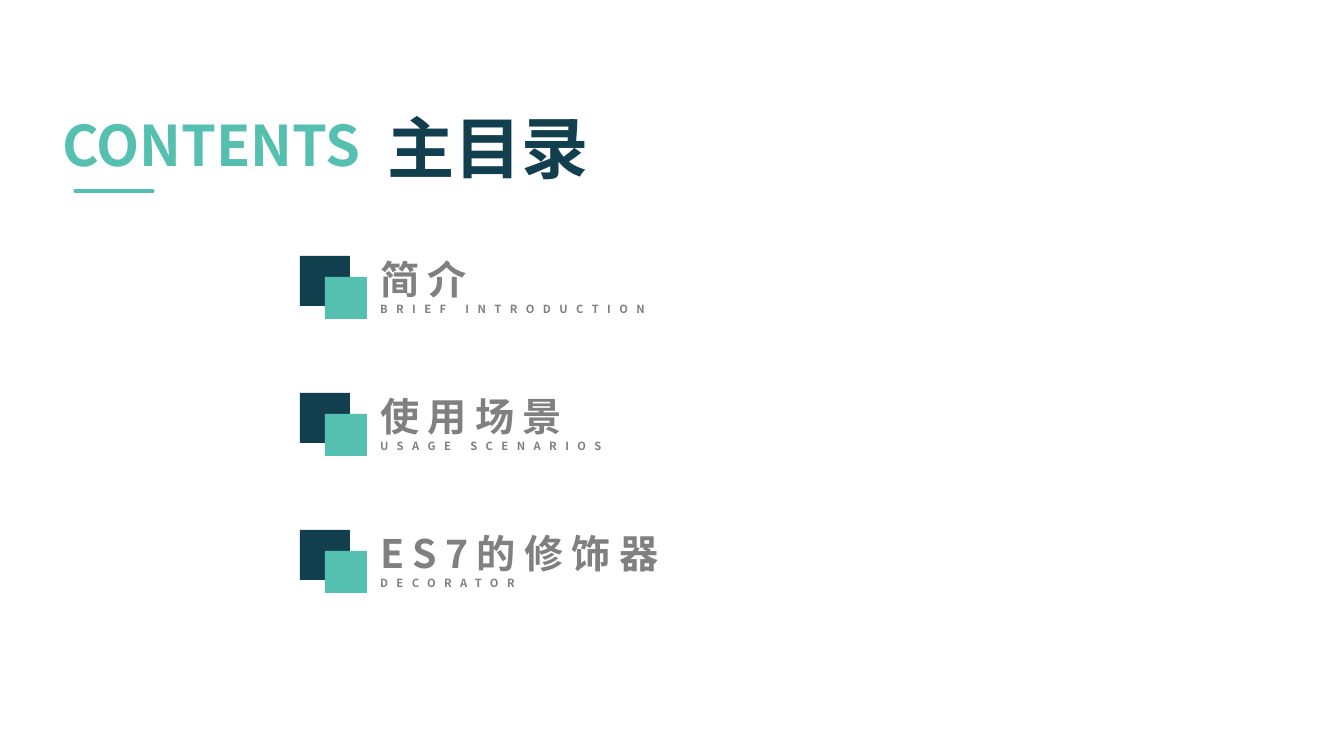
import pptx
import pptx.dml.color
import pptx.enum.shapes
import pptx.enum.text
import pptx.oxml.ns
import pptx.util
from dataclasses import dataclass
from lxml import etree

PIXEL = 914400 / 100.8
FONT = "Noto Sans CJK SC"
COLORS = {"navy": "113F4E", "teal": "55C0AF", "gray": "808080"}
ENTRY_TOP = 250
ENTRY_PITCH = 137


@dataclass
class Entry:
    heading: str
    subtitle: str
    width: int


@dataclass
class Square:
    left: int
    drop: int
    side: int
    color: str


ENTRIES = [
    Entry("简介", "BRIEF INTRODUCTION", 308),
    Entry("使用场景", "USAGE SCENARIOS", 257),
    Entry("ES7的修饰器", "DECORATOR", 308),
]
SQUARES = [Square(300, 6, 50, "navy"), Square(325, 27, 42, "teal")]


def px(length: int) -> pptx.util.Emu:
    return pptx.util.Emu(round(length * PIXEL))


def rgb(color: str) -> pptx.dml.color.RGBColor:
    return pptx.dml.color.RGBColor.from_string(COLORS[color])


def place(shape, left: int, top: int, width: int, height: int) -> None:
    shape.left, shape.top = px(left), px(top)
    shape.width, shape.height = px(width), px(height)


def prepare_frame(shape):
    frame = shape.text_frame
    frame.word_wrap = False
    frame.auto_size = pptx.enum.text.MSO_AUTO_SIZE.SHAPE_TO_FIT_TEXT
    frame.vertical_anchor = pptx.enum.text.MSO_ANCHOR.TOP
    return frame


def add_text(paragraph, text: str, size: int, color: str, tracking: int = 0,
             align=pptx.enum.text.PP_ALIGN.LEFT) -> None:
    paragraph.alignment = align
    paragraph.space_before = paragraph.space_after = pptx.util.Pt(0)
    paragraph.line_spacing = 1.0
    properties = paragraph._p.get_or_add_pPr()
    properties.set("marL", "0")
    properties.set("indent", "0")
    etree.SubElement(properties, pptx.oxml.ns.qn("a:buNone"))
    run = paragraph.add_run()
    run.text = text
    run.font.size = pptx.util.Pt(size)
    run.font.bold = True
    run.font.color.rgb = rgb(color)
    run.font.name = FONT
    run_properties = run._r.get_or_add_rPr()
    run_properties.set("spc", str(tracking * 100))
    east_asian = etree.SubElement(run_properties, pptx.oxml.ns.qn("a:ea"))
    east_asian.set("typeface", FONT)


def add_entry(slide, body, entry: Entry, top: int) -> None:
    place(body, 370, top, entry.width, 72)
    frame = prepare_frame(body)
    add_text(frame.paragraphs[0], entry.heading, 28, "gray", 6)
    add_text(frame.add_paragraph(), entry.subtitle, 8, "gray", 6)
    marker = slide.shapes.add_group_shape()
    for square in SQUARES:
        tile = marker.shapes.add_shape(
            pptx.enum.shapes.MSO_SHAPE.RECTANGLE, px(square.left),
            px(top + square.drop), px(square.side), px(square.side))
        tile.shadow.inherit = False
        tile.fill.solid()
        tile.fill.fore_color.rgb = rgb(square.color)
        tile.line.fill.background()


def add_underline(slide) -> None:
    underline = slide.shapes.add_connector(
        pptx.enum.shapes.MSO_CONNECTOR.STRAIGHT, px(75), px(191), px(153), px(191))
    underline.line.color.rgb = rgb("teal")
    underline.line.width = pptx.util.Pt(2.25)
    underline.line._get_or_add_ln().set("cap", "rnd")
    etree.SubElement(underline._element.spPr, pptx.oxml.ns.qn("a:effectLst"))


presentation = pptx.Presentation()
presentation.slide_width, presentation.slide_height = px(1344), px(756)
slide = presentation.slides.add_slide(
    presentation.slide_layouts.get_by_name("Comparison"))

title = slide.shapes.title
place(title, 377, 101, 224, 92)
add_text(prepare_frame(title).paragraphs[0], "主目录", 48, "navy")

contents = slide.shapes.add_textbox(px(43), px(106), px(337), px(78))
add_text(prepare_frame(contents).paragraphs[0], "CONTENTS", 40, "teal",
         align=pptx.enum.text.PP_ALIGN.CENTER)
add_underline(slide)

bodies = [holder for holder in slide.placeholders
          if holder.placeholder_format.idx != 0]
for row, (body, entry) in enumerate(zip(bodies, ENTRIES)):
    add_entry(slide, body, entry, ENTRY_TOP + row * ENTRY_PITCH)
for unused in bodies[len(ENTRIES):]:
    unused._element.getparent().remove(unused._element)

presentation.save("out.pptx")
